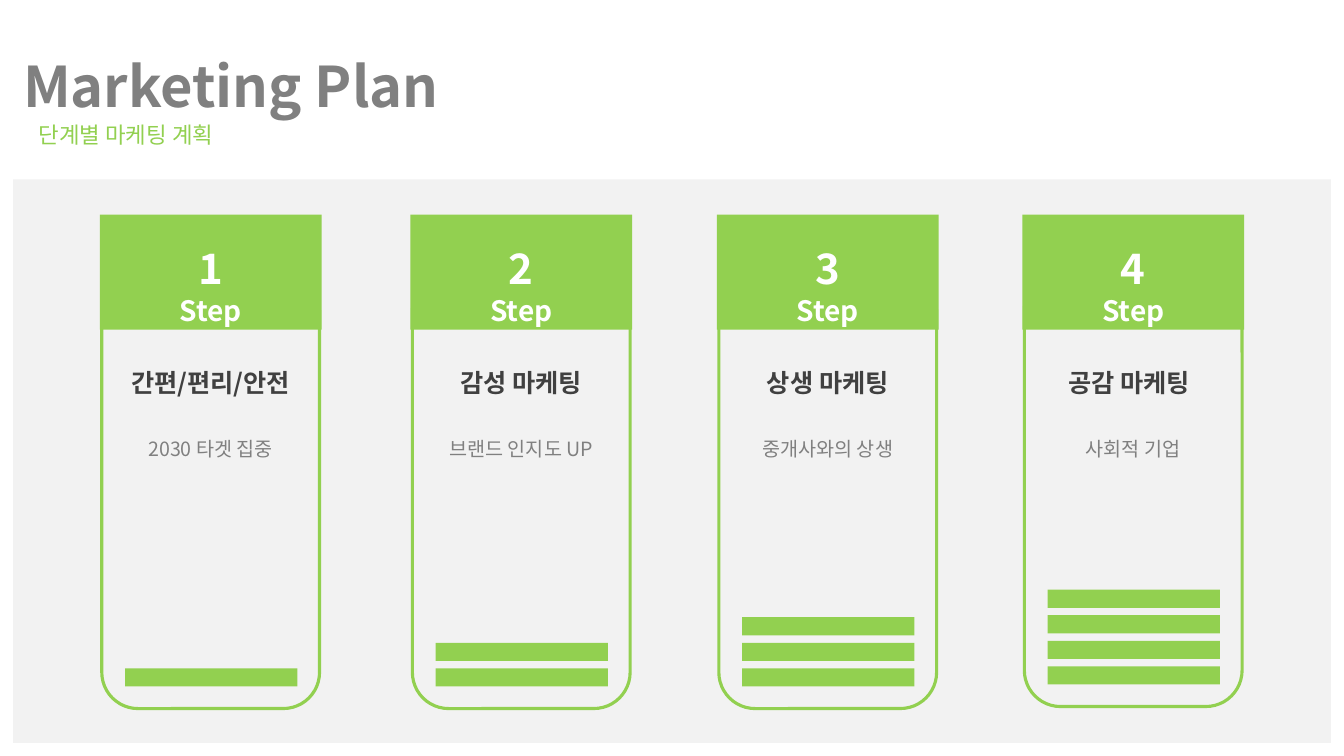
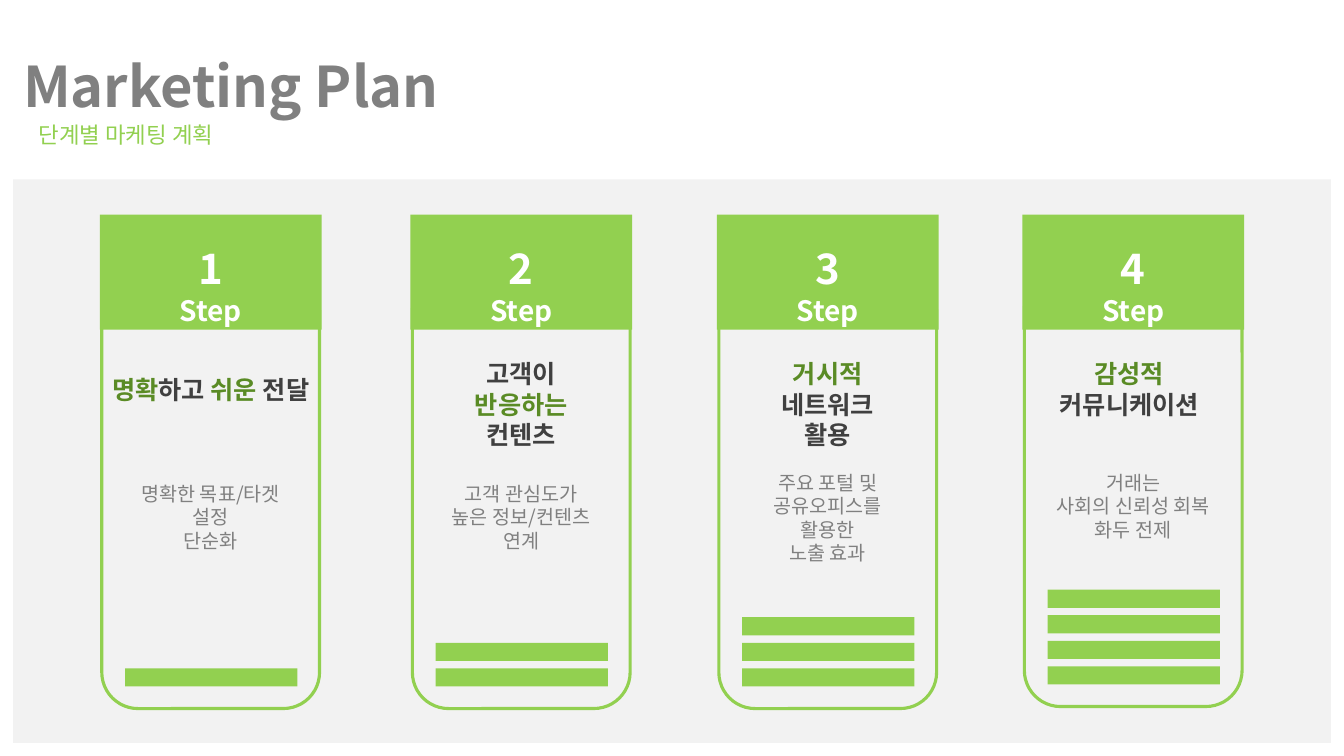
from dataclasses import dataclass

import pptx
import pptx.dml.color
import pptx.enum.shapes
import pptx.enum.text
import pptx.slide
import pptx.util

SLIDE_W, SLIDE_H = 13.33, 7.5
FONT = "Noto Sans CJK KR"
COLORS = {
    "green": "92D050",
    "accent": "5A8B25",
    "panel": "F2F2F2",
    "title": "808080",
    "dark": "404040",
    "white": "FFFFFF",
}
SHAPES = pptx.enum.shapes.MSO_SHAPE
ANCHORS = pptx.enum.text.MSO_ANCHOR

# Column grid shared by both slides
CARD_W = 2.2
OUTLINE_INSET, BAR_INSET = 0.02, 0.25
BAR_PITCH = 0.76 / 3


@dataclass(frozen=True)
class Column:
    left: float
    rise: float = 0  # how far the outline and bars sit above the others
    heading_shift: float = 0

    @property
    def center(self) -> float:
        return self.left + CARD_W / 2


@dataclass(frozen=True)
class Step:
    """Texts of one card; words between asterisks are accented."""
    heading: tuple[str, ...]
    body: tuple[str, ...]
    heading_top: float = 3.59
    body_top: float = 4.29


COLUMNS = (
    Column(0.99),
    Column(4.07),
    Column(7.11),
    Column(10.14, rise=0.02, heading_shift=-0.04),
)

PLANS = (
    (
        Step(("간편/편리/안전",), ("2030 타겟 집중",)),
        Step(("감성 마케팅",), ("브랜드 인지도 UP",)),
        Step(("상생 마케팅",), ("중개사와의 상생",)),
        Step(("공감 마케팅",), ("사회적 기업",)),
    ),
    (
        Step(("*명확*하고 *쉬운* 전달",), ("명확한 목표/타겟 설정", "단순화"), 3.66, 4.73),
        Step(("고객이", "*반응하는*", "컨텐츠"),
             ("고객 관심도가", "높은 정보/컨텐츠 연계"), 3.51, 4.73),
        Step(("*거시적*", "네트워크", "활용"),
             ("주요 포털 및", "공유오피스를 활용한", "노출 효과"), 3.51, 4.62),
        Step(("*감성적*", "커뮤니케이션"),
             ("거래는", "사회의 신뢰성 회복", "화두 전제"), 3.51, 4.62),
    ),
)


def rgb(name: str) -> pptx.dml.color.RGBColor:
    return pptx.dml.color.RGBColor.from_string(COLORS[name])


def add_box(s: pptx.slide.Slide, left: float, top: float, width: float, height: float,
            fill: str = "", line: str = "", kind: SHAPES = SHAPES.RECTANGLE) -> None:
    sp = s.shapes.add_shape(kind, *map(pptx.util.Inches, (left, top, width, height)))
    sp.shadow.inherit = False
    if fill:
        sp.fill.solid()
        sp.fill.fore_color.rgb = rgb(fill)
    else:
        sp.fill.background()
    if line:
        sp.line.color.rgb = rgb(line)
        sp.line.width = pptx.util.Pt(2.25)
    else:
        sp.line.fill.background()


def add_text(s: pptx.slide.Slide, center: float, top: float, width: float, height: float,
             lines: tuple[str, ...], size: float, color: str, bold: bool = False,
             anchor: ANCHORS = ANCHORS.TOP) -> pptx.text.text.TextFrame:
    """Add centred lines of text, accenting the words between asterisks."""
    sp = s.shapes.add_textbox(
        *map(pptx.util.Inches, (center - width / 2, top, width, height)))
    tf = sp.text_frame
    tf.word_wrap = True
    tf.vertical_anchor = anchor
    for i, line in enumerate(lines):
        p = tf.add_paragraph() if i else tf.paragraphs[0]
        p.alignment = pptx.enum.text.PP_ALIGN.CENTER
        for j, part in enumerate(line.split("*")):
            if part:
                r = p.add_run()
                r.text = part
                r.font.name = FONT
                r.font.size = pptx.util.Pt(size)
                r.font.bold = bold
                r.font.color.rgb = rgb("accent" if j % 2 else color)
    return tf


def add_frame(s: pptx.slide.Slide) -> None:
    """Title, subtitle and the grey panel behind the cards."""
    add_text(s, 2.29, 0.34, 4.58, 1, ("Marketing Plan",), 40, "title", True, ANCHORS.MIDDLE)
    add_text(s, 1.25, 1.15, 2, 0.41, ("단계별 마케팅 계획",), 16, "green")
    add_box(s, 0.13, 1.78, 13.07, 5.59, fill="panel")


def add_card(s: pptx.slide.Slide, number: int, col: Column, step: Step) -> None:
    # One bar per step reached, stacked upwards
    for i in range(number):
        add_box(s, col.left + BAR_INSET, 6.63 - col.rise - i * BAR_PITCH,
                1.71, 0.18, fill="green")
    add_text(s, col.center + col.heading_shift, step.heading_top, 2.29,
             0.1 + 0.3 * len(step.heading), step.heading, 18, "dark", True)
    add_text(s, col.center, step.body_top, 1.8,
             0.1 + 0.24 * len(step.body), step.body, 14, "title")

    # Outline and numbered header
    add_box(s, col.left + OUTLINE_INSET, 2.73 - col.rise, 2.16, 4.3,
            line="green", kind=SHAPES.ROUNDED_RECTANGLE)
    add_box(s, col.left, 2.13, CARD_W, 1.14, fill="green")
    tf = add_text(s, col.center, 2.36, 0.9, 0.61, (f"{number} *Step",), 30, "white", True)
    label = tf.paragraphs[0].runs[1]
    label.font.size = pptx.util.Pt(20)
    label.font.color.rgb = rgb("white")


def main() -> None:
    prs = pptx.Presentation()
    prs.slide_width = pptx.util.Inches(SLIDE_W)
    prs.slide_height = pptx.util.Inches(SLIDE_H)
    for plan in PLANS:
        s = prs.slides.add_slide(prs.slide_layouts[6])
        add_frame(s)
        for number, (col, step) in enumerate(zip(COLUMNS, plan), start=1):
            add_card(s, number, col, step)
    prs.save("out.pptx")


if __name__ == "__main__":
    main()
